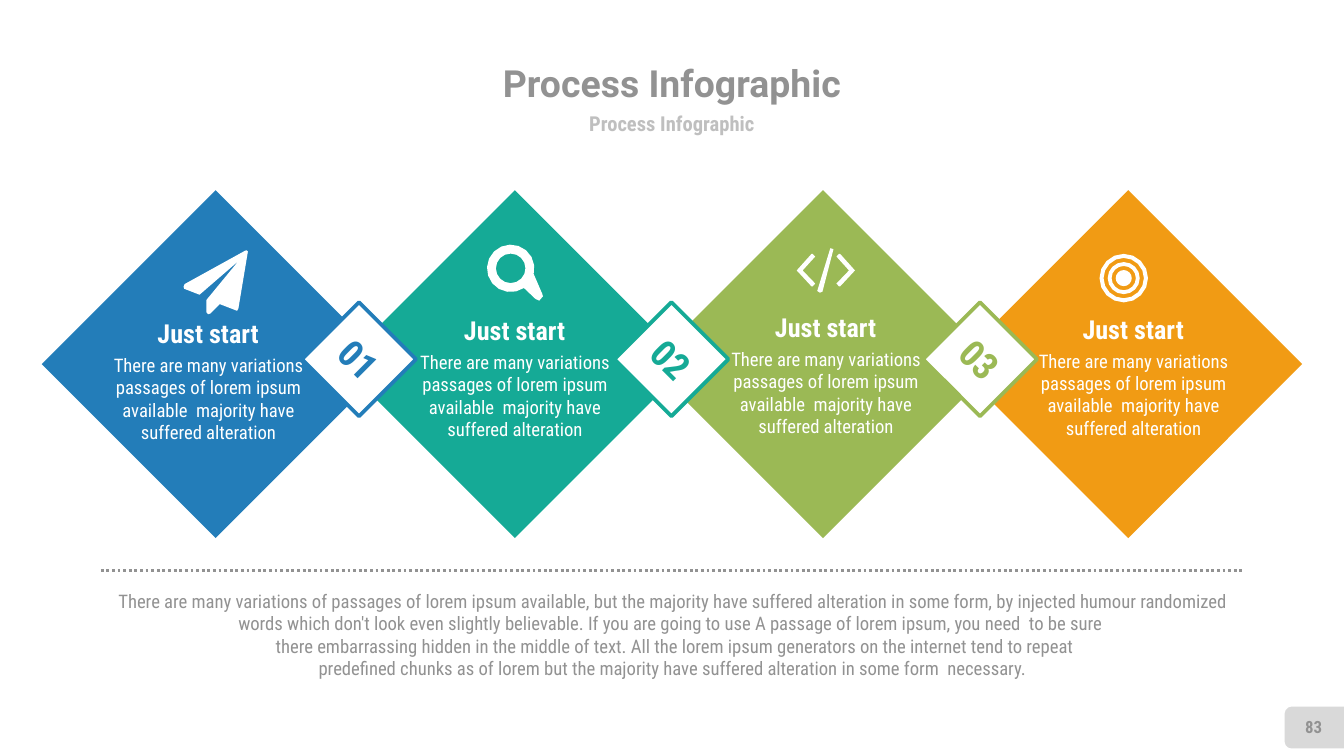
from math import cos, radians, sin

from lxml import etree
from pptx import Presentation
from pptx import util as u
from pptx.dml.color import RGBColor
from pptx.enum import dml, shapes, text
from pptx.oxml.ns import qn

WHITE, GREY, LIGHT_GREY, TAB_GREY = "FFFFFF", "929292", "BFBFBF", "D9D9D9"
CONDENSED = "Roboto Condensed"
DIAMOND_SIDE, DIAMOND_Y = 131.8, 195.1
BADGE_SIDE, BADGE_Y = 43.2, 192.5

# colour, diamond centre x, left and top of the body text
STEPS = [
    ("237DB9", 115.5, 59.8, 189.4),
    ("15AA96", 275.8, 224, 188),
    ("9BB955", 440.9, 390.6, 186.3),
    ("F19B14", 604.4, 555.4, 187.2),
]
BADGE_CENTRES = [192.3, 359.7, 525]
STEP_TEXT = ("There are many variations passages of lorem ipsum "
             "available  majority have suffered alteration")
SUMMARY = (
    "There are many variations of passages of lorem ipsum available, but the "
    "majority have suffered alteration in some form, by injected humour randomized "
    "words which don't look even slightly believable. If you are going to use "
    "A passage of lorem ipsum, you need  to be sure \v"
    " there embarrassing hidden in the middle of text. All the lorem ipsum "
    "generators on the internet tend to repeat\v"
    "predefined chunks as of lorem but the majority have suffered alteration "
    "in some form  necessary."
)

PLANE = [
    (132.8, 134.8), (127.7, 165.4), (127, 166.5), (117.7, 162.9), (112.6, 168),
    (111.5, 168.3), (110.5, 167.2), (110.5, 160.8), (127.7, 139.9), (106.9, 157.9),
    (98.7, 154.7), (98.3, 153.6), (98.9, 152.2), (131.3, 134.3), (132.1, 134.1),
]
LEFT_BRACKET = [
    (435.4, 153.4), (434.7, 153.4), (426.8, 144.9), (434.7, 136.1), (435.4, 136.1),
    (436.7, 137.5), (430, 144.9), (436.7, 151.9),
]
SLASH = [(440.6, 156.3), (439.2, 156.8), (437.8, 155.9), (444.8, 133), (446.5, 133.5)]
CODE_CENTRE = 442.4
LENS = (273.6, 143.8)
HANDLE = [(290.4, 157.2), (290.9, 158.8), (288.9, 161.1), (286.9, 160.2)]
TARGET = (602, 149)


def rgb(colour):
    return RGBColor.from_string(colour)


def points(*values):
    return [u.Pt(value) for value in values]


def paint(shape, fill, line=None, width=0):
    shape.shadow.inherit = False
    shape.fill.solid()
    shape.fill.fore_color.rgb = rgb(fill)
    if line:
        shape.line.color.rgb = rgb(line)
        shape.line.width = u.Pt(width)
    else:
        shape.line.fill.background()


def write(shape, words, size, colour, bold=False, font=CONDENSED):
    frame = shape.text_frame
    para = frame.paragraphs[0]
    para.text = words
    para.alignment = text.PP_ALIGN.CENTER
    para.font.name = font
    para.font.size = u.Pt(size)
    para.font.bold = bold
    para.font.color.rgb = rgb(colour)
    return frame


def add_text(page, bounds, words, size, colour, bold=False, font=CONDENSED,
             wrap=True, middle=False):
    """Add a centred text box without insets."""
    box = page.shapes.add_textbox(*points(*bounds))
    frame = write(box, words, size, colour, bold, font)
    frame.word_wrap = wrap
    frame.margin_left = frame.margin_right = frame.margin_top = frame.margin_bottom = 0
    anchors = text.MSO_ANCHOR
    frame.vertical_anchor = anchors.MIDDLE if middle else anchors.TOP


def add_diamond(page, centre_x, centre_y, side, fill, line=None, width=0):
    square = page.shapes.add_shape(
        shapes.MSO_SHAPE.RECTANGLE,
        *points(centre_x - side / 2, centre_y - side / 2, side, side))
    square.rotation = 45
    paint(square, fill, line, width)
    return square


def add_badge(page, centre_x, label, colour):
    badge = add_diamond(page, centre_x, BADGE_Y, BADGE_SIDE, WHITE, colour, 2)
    frame = write(badge, label, 20, colour, True)
    frame.vertical_anchor = text.MSO_ANCHOR.MIDDLE


def arc(centre, radius, start=0, end=360, steps=16):
    """Return evenly spaced points along a circular arc."""
    angles = [radians(start + (end - start) * i / steps) for i in range(steps)]
    return [(centre[0] + radius * cos(a), centre[1] + radius * sin(a)) for a in angles]


def add_icon(page, *contours):
    """Draw contours as one white outline; inner contours become holes."""
    first, *others = [[points(*point) for point in contour] for contour in contours]
    builder = page.shapes.build_freeform(*first[0])
    builder.add_line_segments(first[1:])
    for contour in others:
        builder.move_to(*contour[0])
        builder.add_line_segments(contour[1:])
    paint(builder.convert_to_shape(), WHITE)


def add_icons(page):
    add_icon(page, PLANE)
    right_bracket = [(2 * CODE_CENTRE - x, y) for x, y in LEFT_BRACKET]
    add_icon(page, LEFT_BRACKET, SLASH, right_bracket)
    add_icon(page, arc(LENS, 12.7, 56, 395) + HANDLE, arc(LENS, 7.9))
    add_icon(page, *[arc(TARGET, radius) for radius in (13, 10.8, 8.6, 6.5, 4.3)])


def add_dotted_line(page, left, right, y):
    line = page.shapes.add_connector(
        shapes.MSO_CONNECTOR.STRAIGHT, *points(left, y, right, y))
    line.line.color.rgb = rgb(GREY)
    line.line.width = u.Pt(1.5)
    line.line.dash_style = dml.MSO_LINE.ROUND_DOT
    etree.SubElement(line._element.spPr, qn("a:effectLst"))


def add_page_number(page, number):
    tab = page.shapes.add_shape(
        shapes.MSO_SHAPE.ROUND_2_SAME_RECTANGLE, *points(692.9, 373.9, 22.4, 31.7))
    tab.rotation = 270
    paint(tab, TAB_GREY)
    add_text(page, (688.6, 378.8, 30.2, 21.6), number, 9, GREY, True, middle=True)


def main():
    deck = Presentation()
    deck.slide_width, deck.slide_height = points(720, 405)
    page = deck.slides.add_slide(deck.slide_layouts[6])

    add_page_number(page, "83")
    add_text(page, (138, 30.5, 444, 28), "Process Infographic", 20, GREY, True,
             "Roboto", wrap=False, middle=True)
    add_text(page, (198, 58, 324, 16), "Process Infographic", 11, LIGHT_GREY, True,
             wrap=False, middle=True)

    for colour, centre_x, _, _ in STEPS:
        add_diamond(page, centre_x, DIAMOND_Y, DIAMOND_SIDE, colour)
    for _, _, left, top in STEPS:
        add_text(page, (left, top, 103.7, 60.5), STEP_TEXT, 10, WHITE)
        add_text(page, (left + 20, top - 19.4, 63.4, 17.3), "Just start", 14, WHITE,
                 True, wrap=False)
    add_icons(page)
    for number, (centre_x, step) in enumerate(zip(BADGE_CENTRES, STEPS), 1):
        add_badge(page, centre_x, f"{number:02}", step[0])

    add_text(page, (54.5, 316, 611, 48), SUMMARY, 10, GREY)
    add_dotted_line(page, 54, 666, 305.5)
    deck.save("out.pptx")


if __name__ == "__main__":
    main()
